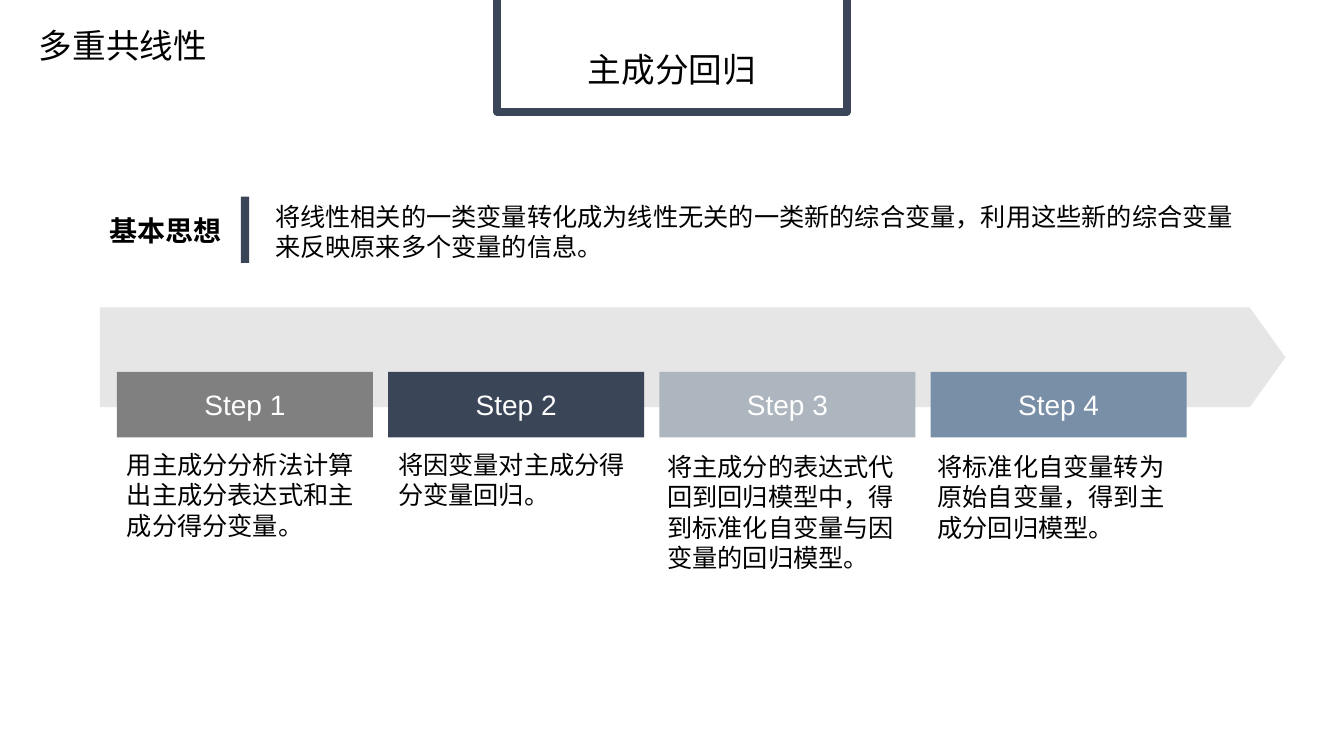
from pptx import Presentation
from pptx.dml.color import RGBColor
from pptx.enum.shapes import MSO_SHAPE
from pptx.enum.text import MSO_ANCHOR, MSO_AUTO_SIZE, PP_ALIGN
from pptx.oxml.ns import qn
from pptx.util import Inches, Pt
from lxml.etree import SubElement

theme = {
    "ink": "000000", "paper": "FFFFFF", "navy": "3A4557", "band": "CCCCCC",
    "steps": ["808080", "3A4557", "ADB6BF", "798FA8"],
    "head": 24, "label": 20, "body": 18,
    "latin": "Arial", "title": "Montserrat", "cjk": "Noto Sans CJK SC",
}

deck = Presentation()
deck.slide_width, deck.slide_height = Inches(13.33), Inches(7.5)
slide = deck.slides.add_slide(deck.slide_layouts[5])
shapes = slide.shapes


def write(text, box=None, shape=None, size=theme["body"], font=theme["cjk"],
          color=theme["ink"], bold=False, align=PP_ALIGN.LEFT,
          anchor=MSO_ANCHOR.TOP, space=1.0):
    """Put formatted text into a shape, or into a new text box."""
    if shape is None:
        shape = shapes.add_textbox(*map(Inches, box))
    elif box:
        shape.left, shape.top, shape.width, shape.height = map(Inches, box)
    frame = shape.text_frame
    frame.word_wrap = True
    frame.auto_size = MSO_AUTO_SIZE.NONE
    frame.vertical_anchor = anchor
    para = frame.paragraphs[0]
    para.alignment, para.line_spacing = align, space
    run = para.add_run()
    run.text = text
    run.font.name, run.font.size, run.font.bold = font, Pt(size), bold
    run.font.color.rgb = RGBColor.from_string(color)
    SubElement(run.font._element, qn("a:ea"), typeface=theme["cjk"])


def block(kind, box, fill, line=None, width=0):
    """Add a flat filled shape with an optional outline."""
    shape = shapes.add_shape(kind, *map(Inches, box))
    shape.shadow.inherit = False
    shape.fill.solid()
    shape.fill.fore_color.rgb = RGBColor.from_string(fill)
    if line:
        shape.line.color.rgb = RGBColor.from_string(line)
        shape.line.width = Pt(width)
    else:
        shape.line.fill.background()
    return shape


# Framed title hanging from the top edge
tab = block(MSO_SHAPE.RECTANGLE, (4.93, -0.6, 3.47, 1.71), theme["paper"],
            line=theme["navy"], width=5.5)
title = shapes.title
title.element.addprevious(tab.element)
top = {"size": theme["head"], "align": PP_ALIGN.CENTER,
       "anchor": MSO_ANCHOR.BOTTOM, "space": 0.9}
write("主成分回归", box=(5.2, 0, 2.93, 0.94), shape=title,
      font=theme["title"], **top)

# Chapter name
write("多重共线性", box=(0.18, 0.01, 2.08, 0.69), **top)

# Basic idea
write("基本思想", box=(0.99, 2.07, 1.4, 0.44), size=theme["label"], bold=True)
block(MSO_SHAPE.RECTANGLE, (2.39, 1.95, 0.08, 0.66), theme["navy"])
write("将线性相关的一类变量转化成为线性无关的一类新的综合变量，"
      "利用这些新的综合变量来反映原来多个变量的信息。",
      box=(2.63, 1.95, 9.78, 0.71))

# Translucent arrow behind the steps
arrow = block(MSO_SHAPE.PENTAGON, (0.99, 3.05, 11.76, 0.99), theme["band"])
arrow.adjustments[0] = 0.359
tint = arrow.fill._xPr.find(".//" + qn("a:srgbClr"))
SubElement(tint, qn("a:alpha"), val="48000")

# Four steps: text, left shift and top of each note
left, wide, gap = 1.16, 2.54, 0.15
notes = [
    ("用主成分分析法计算出主成分表达式和主成分得分变量。", 0, 4.41),
    ("将因变量对主成分得分变量回归。", 0, 4.41),
    ("将主成分的表达式代回到回归模型中，得到标准化自变量与因变量的回归模型。",
     0.02, 4.43),
    ("将标准化自变量转为原始自变量，得到主成分回归模型。", 0.03, 4.43),
]
for i, (note, shift, y) in enumerate(notes):
    x = left + i * (wide + gap)
    step = block(MSO_SHAPE.RECTANGLE, (x, 3.69, wide, 0.65), theme["steps"][i])
    write(f"Step {i + 1}", shape=step, size=theme["label"],
          font=theme["latin"], color=theme["paper"],
          align=PP_ALIGN.CENTER, anchor=MSO_ANCHOR.MIDDLE)
    write(note, box=(x - shift, y, wide + shift, 1.51), font=theme["latin"])

deck.save("out.pptx")
